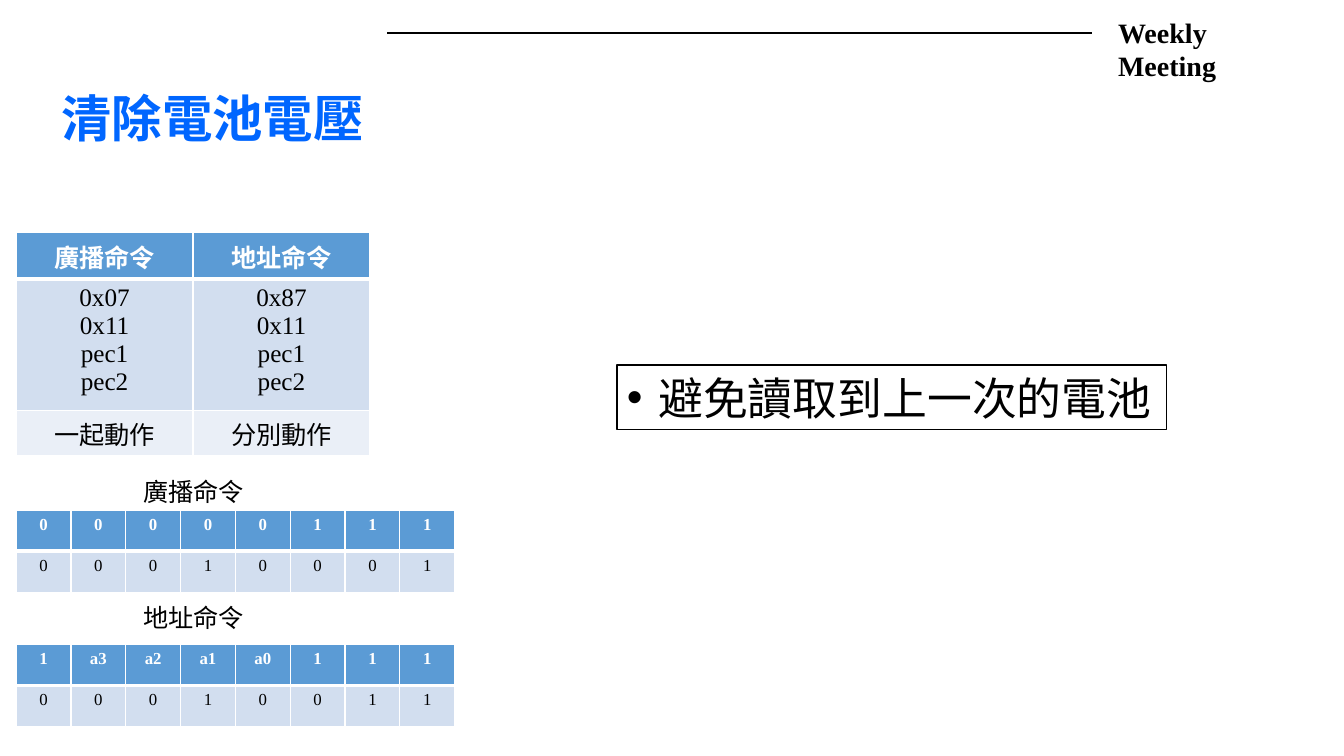
from pptx import Presentation
from pptx.dml.color import RGBColor
from pptx.enum.shapes import MSO_CONNECTOR, MSO_SHAPE
from pptx.enum.text import MSO_ANCHOR, PP_ALIGN
from pptx.oxml.ns import qn
from pptx.util import Pt
from lxml import etree

PX = 9144  # 100 px to the inch
LEFT, CENTER = PP_ALIGN.LEFT, PP_ALIGN.CENTER
MIDDLE = MSO_ANCHOR.MIDDLE
RECTANGLE, STRAIGHT = MSO_SHAPE.RECTANGLE, MSO_CONNECTOR.STRAIGHT
LATIN, CJK = "Times New Roman", "Noto Sans CJK SC"
COLORS = {
    "ink": "000000",
    "title": "0066FF",
    "white": "FFFFFF",
    "header": "5B9BD5",
    "band_dark": "D2DEEF",
    "band_light": "EAEFF7",
}


def rgb(name):
    return RGBColor.from_string(COLORS[name])


def write(frame, text, size, color="ink", align=LEFT, bold=False, font=LATIN):
    """Fill a text frame, one paragraph per line of text."""
    frame.text = text
    for paragraph in frame.paragraphs:
        paragraph.alignment = align
        run = paragraph.runs[0]
        for key, value in {"size": Pt(size), "bold": bold, "name": font}.items():
            setattr(run.font, key, value)
        run.font.color.rgb = rgb(color)
        etree.SubElement(run.font._element, qn("a:ea"), typeface=CJK)


prs = Presentation()
prs.slide_width, prs.slide_height = 1333 * PX, 750 * PX
slide = prs.slides.add_slide(prs.slide_layouts[6])
shapes = slide.shapes

# Header rule
rule = shapes.add_connector(STRAIGHT, 384 * PX, 33 * PX, 1083 * PX, 33 * PX)
rule.line.color.rgb = rgb("ink")
rule.line.width = Pt(1.75)
etree.SubElement(rule._element.spPr, qn("a:effectLst"))

# Header, title and table captions
labels = [
    ("Weekly Meeting", (1099, 10, 211, 44), True, {"size": 20, "bold": True}),
    ("清除電池電壓", (51, 88, 323, 65), False,
     {"size": 36, "bold": True, "color": "title", "font": CJK}),
    ("廣播命令", (109, 468, 166, 40), True, {"size": 18, "align": CENTER}),
    ("地址命令", (129, 593, 126, 40), True, {"size": 18, "align": CENTER}),
]
for text, box, wrap, style in labels:
    label = shapes.add_textbox(*(length * PX for length in box))
    label.text_frame.word_wrap = wrap
    write(label.text_frame, text, **style)
    if style.get("color") == "title":
        title_line = label.text_frame.paragraphs[0]
        title_line.line_spacing = 0.9
        title_line.space_before = Pt(10)

# Command overview and the two bit tables: top, width, row heights, text size, rows
tables = [
    (231, 351, [46, 120, 45], 18, [
        ["廣播命令", "地址命令"],
        ["0x07\n0x11\npec1\npec2", "0x87\n0x11\npec1\npec2"],
        ["一起動作", "分別動作"],
    ]),
    (506, 435, [41, 41], 12, ["0 0 0 0 0 1 1 1".split(), "0 0 0 1 0 0 0 1".split()]),
    (639, 435, [41, 41], 12, ["1 a3 a2 a1 a0 1 1 1".split(), "0 0 0 1 0 0 1 1".split()]),
]
row_fills = ["header", "band_dark", "band_light"]
for top, width, heights, size, rows in tables:
    table = shapes.add_table(len(rows), len(rows[0]), 16 * PX, top * PX,
                             width * PX, sum(heights) * PX).table
    for r, values in enumerate(rows):
        table.rows[r].height = heights[r] * PX
        edges = {"lnL": 1, "lnR": 1, "lnT": 3 if r == 1 else 1, "lnB": 3 if r == 0 else 1}
        for c, value in enumerate(values):
            cell = table.cell(r, c)
            write(cell.text_frame, value, size, "white" if r == 0 else "ink", CENTER, r == 0)
            properties = cell._tc.get_or_add_tcPr()
            for edge, points in edges.items():
                border = etree.SubElement(properties, qn(f"a:{edge}"), w=str(Pt(points)))
                paint = etree.SubElement(border, qn("a:solidFill"))
                etree.SubElement(paint, qn("a:srgbClr"), val=COLORS["white"])
            cell.fill.solid()
            cell.fill.fore_color.rgb = rgb(row_fills[r])

# Boxed purpose of the command
purpose = shapes.add_shape(RECTANGLE, 612 * PX, 362 * PX, 545 * PX, 64 * PX)
purpose.shadow.inherit = False
purpose.fill.background()
purpose.line.color.rgb = rgb("ink")
purpose.line.width = Pt(1)
purpose.text_frame.word_wrap = False
purpose.text_frame.vertical_anchor = MIDDLE
write(purpose.text_frame, "避免讀取到上一次的電池", 32)
bullet_line = purpose.text_frame.paragraphs[0]._p.get_or_add_pPr()
for key, value in {"marL": 31 * PX, "indent": -31 * PX}.items():
    bullet_line.set(key, str(value))
etree.SubElement(bullet_line, qn("a:buFont"), typeface="Arial")
etree.SubElement(bullet_line, qn("a:buChar"), char="•")

prs.save("out.pptx")
